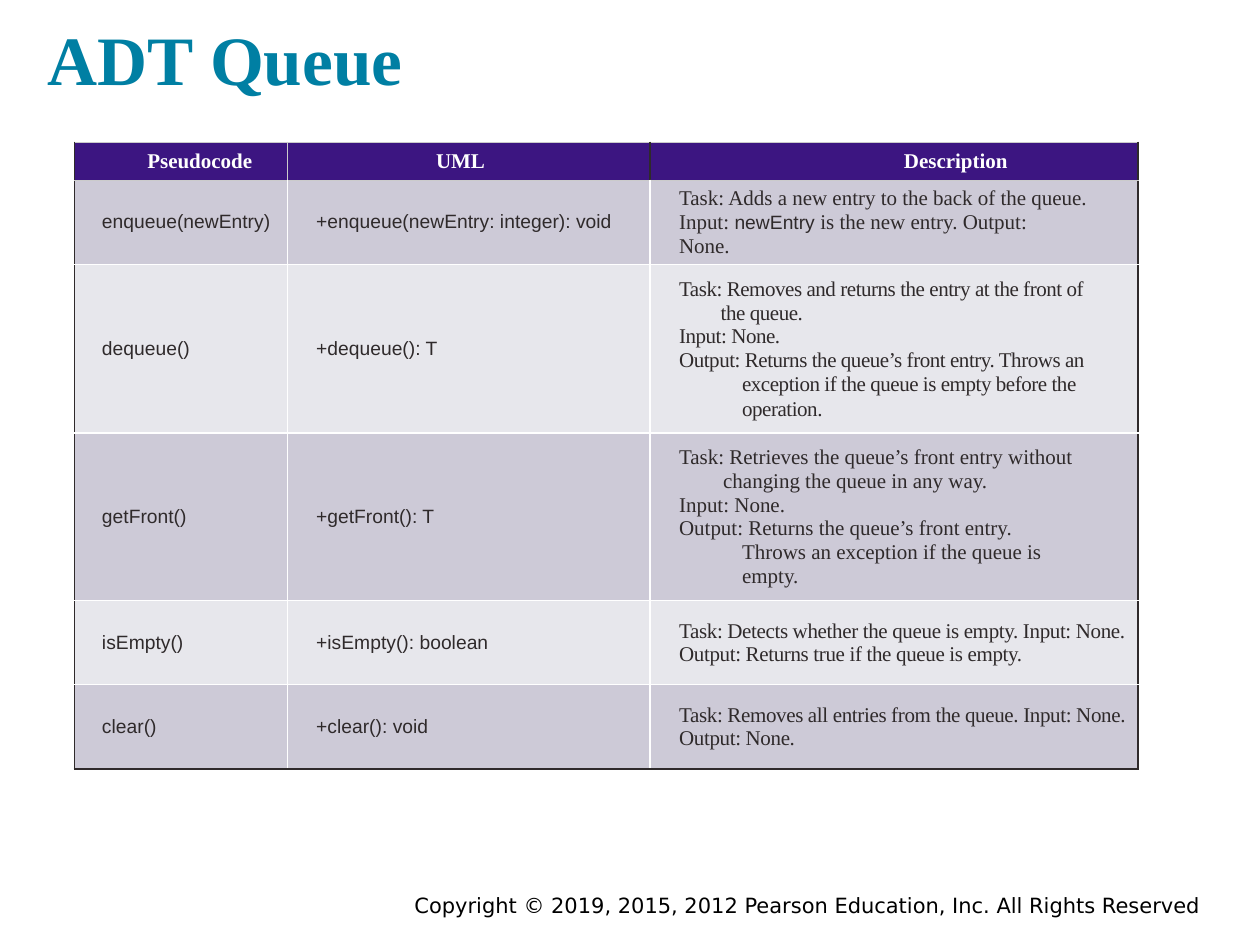
from dataclasses import dataclass

from lxml import etree
from pptx import Presentation
from pptx.dml.color import RGBColor
from pptx.enum.text import MSO_ANCHOR, PP_ALIGN
from pptx.oxml.ns import qn
from pptx.util import Pt

LEFT, CENTER, RIGHT = PP_ALIGN.LEFT, PP_ALIGN.CENTER, PP_ALIGN.RIGHT
MIDDLE, BOTTOM = MSO_ANCHOR.MIDDLE, MSO_ANCHOR.BOTTOM


@dataclass(frozen=True)
class Theme:
    title: str = "007FA3"
    header: str = "3C1581"
    bands: tuple = ("CDCAD7", "E7E7EC")
    ink: str = "2F2A2B"
    white: str = "FFFFFF"
    black: str = "000000"
    header_line: str = "CBCBCB"
    serif: str = "Times New Roman"
    sans: str = "Arial"
    footer_font: str = "DejaVu Sans"
    title_size: float = 39.6
    text_size: float = 12
    code_size: float = 11


THEME = Theme()


@dataclass(frozen=True)
class Line:
    """One paragraph of a description; words in backquotes are code."""
    text: str
    left: float = 11.5
    first: float = 0
    right: float = 0
    spacing: float = 1.0


COLUMNS = (121.7, 207.4, 278.8)
ROW_HEIGHTS = (21.6, 48, 96.4, 95.8, 48, 48.2)
HEADERS = (("Pseudocode", LEFT, 36.7), ("UML", LEFT, 80), ("Description", CENTER, 70.5))
CODE_INDENTS = (10.8, 11.5)

# Pseudocode, UML, letter spacing of the description, description
OPERATIONS = (
    ("enqueue(newEntry)", "+enqueue(newEntry: integer): void", 0, (
        Line("Task: Adds a new entry to the back of the queue.", 36.7, -25.2, spacing=1.04),
        Line("Input: `newEntry `is the new entry. Output: None.", right=50, spacing=1.04))),
    ("dequeue()", "+dequeue(): T", -0.25, (
        Line("Task: Removes and returns the entry at the front of the queue.",
             35.3, -23.8, 16, 1.04),
        Line("Input: None."),
        Line("Output: Returns the queue’s front entry. Throws an exception if the queue "
             "is empty before the operation.", 47.5, -36, 16, 1.04))),
    ("getFront()", "+getFront(): T", 0, (
        Line("Task: Retrieves the queue’s front entry without changing the queue in any way.",
             36.7, -25.2, spacing=1.04),
        Line("Input: None."),
        Line("Output: Returns the queue’s front entry."),
        Line("Throws an exception if the queue is empty.", 47.5, right=35, spacing=1.04))),
    ("isEmpty()", "+isEmpty(): boolean", -0.2, (
        Line("Task: Detects whether the queue is empty. Input: None.", spacing=1.04),
        Line("Output: Returns true if the queue is empty."))),
    ("clear()", "+clear(): void", -0.2, (
        Line("Task: Removes all entries from the queue. Input: None.", spacing=1.04),
        Line("Output: None."))),
)


def add_span(para, text, font, size, color, bold=False, tracking=0):
    span = para.add_run()
    span.text = text
    span.font.name = font
    span.font.size = Pt(size)
    span.font.bold = bold
    span.font.color.rgb = RGBColor.from_string(color)
    if tracking:
        span.font._element.set("spc", str(round(tracking * 100)))


def set_indent(para, left, first=0, right=0):
    properties = para._p.get_or_add_pPr()
    for name, value in (("marL", left), ("marR", right), ("indent", first)):
        properties.set(name, str(int(Pt(value))))


def add_text_box(page, place, inset, align, anchor):
    box = page.shapes.add_textbox(*(Pt(value) for value in place))
    frame = box.text_frame
    frame.word_wrap = True
    frame.vertical_anchor = anchor
    frame.margin_left = frame.margin_right = Pt(inset)
    frame.margin_top = frame.margin_bottom = Pt(inset)
    para = frame.paragraphs[0]
    para.alignment = align
    return para


def style_cell(cell, fill, borders):
    """Borders are the colours of the left, right, top and bottom sides."""
    cell.vertical_anchor = MIDDLE
    cell.margin_left = cell.margin_right = Pt(5)
    cell.margin_top = cell.margin_bottom = 0
    properties = cell._tc.get_or_add_tcPr()
    for side, color in zip(("lnL", "lnR", "lnT", "lnB"), borders):
        line = etree.SubElement(properties, qn("a:" + side), w=str(int(Pt(1))))
        solid = etree.SubElement(line, qn("a:solidFill"))
        etree.SubElement(solid, qn("a:srgbClr"), val=color)
    cell.fill.solid()
    cell.fill.fore_color.rgb = RGBColor.from_string(fill)


def fill_header(table):
    gray, ink = THEME.header_line, THEME.ink
    sides = ((ink, gray), (gray, ink), (ink, ink))
    for column, (text, align, left) in enumerate(HEADERS):
        cell = table.cell(0, column)
        style_cell(cell, THEME.header, (*sides[column], gray, gray))
        para = cell.text_frame.paragraphs[0]
        para.alignment = align
        set_indent(para, left)
        add_span(para, text, THEME.serif, THEME.text_size, THEME.white, bold=True)


def fill_description(cell, lines, tracking):
    frame = cell.text_frame
    for number, line in enumerate(lines):
        para = frame.add_paragraph() if number else frame.paragraphs[0]
        set_indent(para, line.left, line.first, line.right)
        para.line_spacing = line.spacing
        for part, text in enumerate(line.text.split("`")):
            font, size = ((THEME.sans, THEME.code_size) if part % 2
                          else (THEME.serif, THEME.text_size))
            add_span(para, text, font, size, THEME.ink, tracking=tracking)


def fill_operation(table, row, operation):
    *codes, tracking, lines = operation
    white, ink = THEME.white, THEME.ink
    top = THEME.header_line if row == 1 else white
    bottom = ink if row == len(OPERATIONS) else white
    sides = ((ink, white), (white, white), (white, ink))
    for column, side in enumerate(sides):
        style_cell(table.cell(row, column), THEME.bands[(row - 1) % 2], (*side, top, bottom))
    for column, (code, left) in enumerate(zip(codes, CODE_INDENTS)):
        para = table.cell(row, column).text_frame.paragraphs[0]
        set_indent(para, left)
        add_span(para, code, THEME.sans, THEME.code_size, ink)
    fill_description(table.cell(row, 2), lines, tracking)


def add_operations_table(page):
    table = page.shapes.add_table(
        len(ROW_HEIGHTS), len(COLUMNS), Pt(42.5), Pt(81.4),
        Pt(sum(COLUMNS)), Pt(sum(ROW_HEIGHTS))).table
    for column, width in zip(table.columns, COLUMNS):
        column.width = Pt(width)
    for row, height in zip(table.rows, ROW_HEIGHTS):
        row.height = Pt(height)
    fill_header(table)
    for row, operation in enumerate(OPERATIONS, start=1):
        fill_operation(table, row, operation)


def main():
    deck = Presentation()
    deck.slide_width, deck.slide_height = Pt(720), Pt(540)
    page = deck.slides.add_slide(deck.slide_layouts[6])

    # Copyright line
    footer = add_text_box(page, (126, 506, 563.8, 22), 3.6, RIGHT, MIDDLE)
    add_span(footer, "Copyright © 2019, 2015, 2012 Pearson Education, Inc. All Rights Reserved",
             THEME.footer_font, THEME.text_size, THEME.black)

    # Title
    title = add_text_box(page, (20.2, 0, 670, 64), 7.2, LEFT, BOTTOM)
    add_span(title, "ADT Queue", THEME.serif, THEME.title_size, THEME.title, bold=True)

    # Queue operations
    add_operations_table(page)
    deck.save("out.pptx")


if __name__ == "__main__":
    main()
